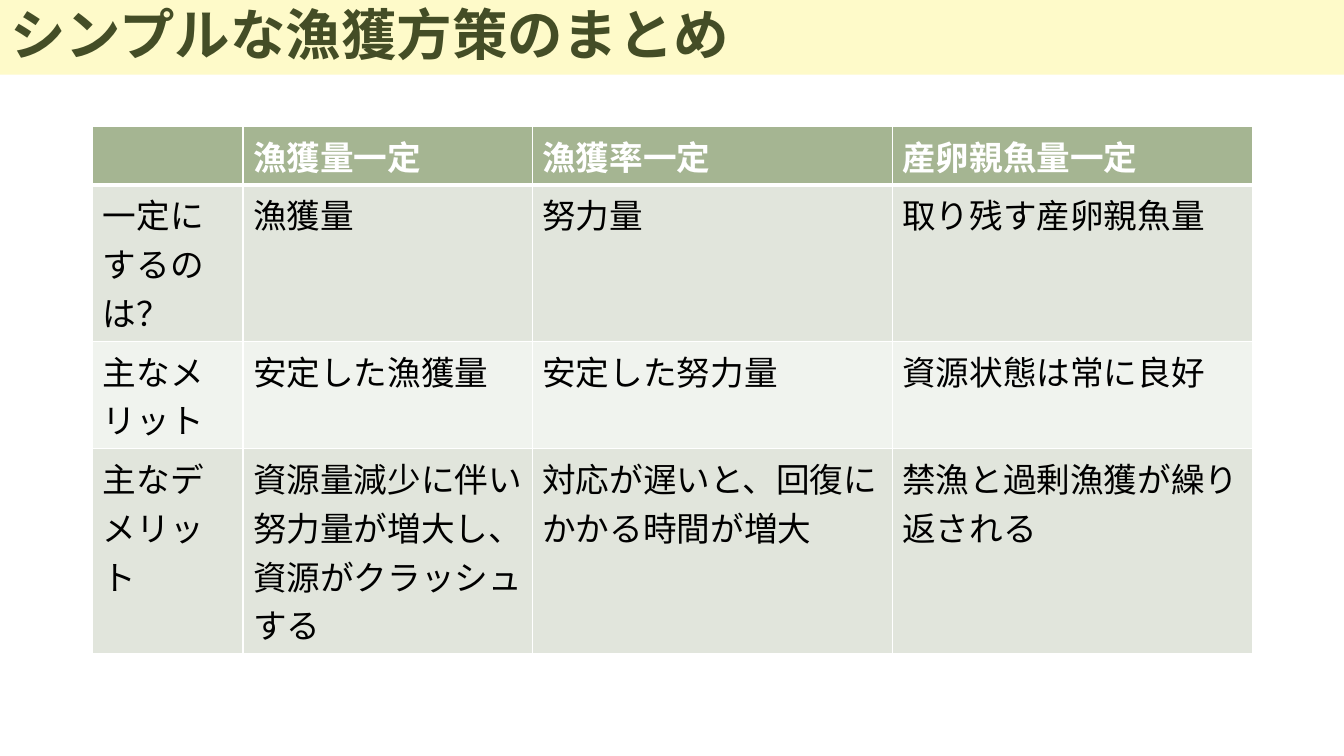
from pptx import Presentation
from pptx.dml.color import RGBColor
from pptx.enum.text import MSO_ANCHOR, MSO_AUTO_SIZE, PP_ALIGN
from pptx.oxml.ns import qn
from pptx.util import Inches, Pt
from lxml.etree import SubElement

FONT = "Noto Sans CJK JP"
WHITE, BLACK = "FFFFFF", "000000"
HEADER_FILL = "A5B592"
BAND_FILLS = ["F0F3EE", "E1E5DC"]
COLUMN_WIDTHS = [1.49, 2.87, 3.57, 3.57]
ROW_HEIGHT = 0.41
ROWS = [
    ["", "漁獲量一定", "漁獲率一定", "産卵親魚量一定"],
    ["一定にするのは？", "漁獲量", "努力量", "取り残す産卵親魚量"],
    ["主なメリット", "安定した漁獲量", "安定した努力量", "資源状態は常に良好"],
    ["主なデメリット", "資源量減少に伴い努力量が増大し、資源がクラッシュする",
     "対応が遅いと、回復にかかる時間が増大", "禁漁と過剰漁獲が繰り返される"],
]


def color(hex_text):
    return RGBColor.from_string(hex_text)


def fill_solid(target, hex_text):
    target.fill.solid()
    target.fill.fore_color.rgb = color(hex_text)


def format_runs(paragraph, size, hex_text, bold):
    for run in paragraph.runs:
        run.font.size = Pt(size)
        run.font.bold = bold
        run.font.color.rgb = color(hex_text)
        run.font.name = FONT
        SubElement(run.font._element, qn("a:ea"), typeface=FONT)


def add_border(cell, side, width):
    line = SubElement(cell._tc.get_or_add_tcPr(), qn(f"a:ln{side}"), w=str(Pt(width)))
    fill = SubElement(line, qn("a:solidFill"))
    SubElement(fill, qn("a:srgbClr"), val=WHITE)


def add_title(slide, text):
    title = slide.shapes.title
    title.left, title.top = Inches(0), Inches(0)
    title.width, title.height = Inches(13.33), Inches(0.74)
    fill_solid(title, "FEFAC9")
    frame = title.text_frame
    frame.text = text
    frame.auto_size = MSO_AUTO_SIZE.NONE
    frame.vertical_anchor = MSO_ANCHOR.MIDDLE
    paragraph = frame.paragraphs[0]
    paragraph.alignment = PP_ALIGN.LEFT
    paragraph.line_spacing = 0.9
    format_runs(paragraph, 39.6, "444D26", True)


def format_cell(cell, text, row):
    is_header = row == 0
    cell.text = text
    format_runs(cell.text_frame.paragraphs[0], 24, WHITE if is_header else BLACK, is_header)
    # The rule under the header is thicker than the other borders
    widths = {"L": 1, "R": 1, "T": 3 if row == 1 else 1, "B": 3 if is_header else 1}
    for side, width in widths.items():
        add_border(cell, side, width)
    fill_solid(cell, HEADER_FILL if is_header else BAND_FILLS[row % 2])


def add_comparison_table(slide):
    frame = slide.shapes.add_table(
        len(ROWS), len(COLUMN_WIDTHS), Inches(0.92), Inches(1.25),
        Inches(sum(COLUMN_WIDTHS)), Inches(ROW_HEIGHT * len(ROWS)))
    table = frame.table
    for column, width in zip(table.columns, COLUMN_WIDTHS):
        column.width = Inches(width)
    for row, texts in enumerate(ROWS):
        table.rows[row].height = Inches(ROW_HEIGHT)
        for column, text in enumerate(texts):
            format_cell(table.cell(row, column), text, row)
    frame.height = Inches(4.4)


def main():
    presentation = Presentation()
    presentation.slide_width = Inches(13.33)
    presentation.slide_height = Inches(7.5)
    # Title Only layout
    slide = presentation.slides.add_slide(presentation.slide_layouts[5])
    fill_solid(slide.background, WHITE)
    add_title(slide, "シンプルな漁獲方策のまとめ")
    add_comparison_table(slide)
    presentation.save("out.pptx")


if __name__ == "__main__":
    main()
